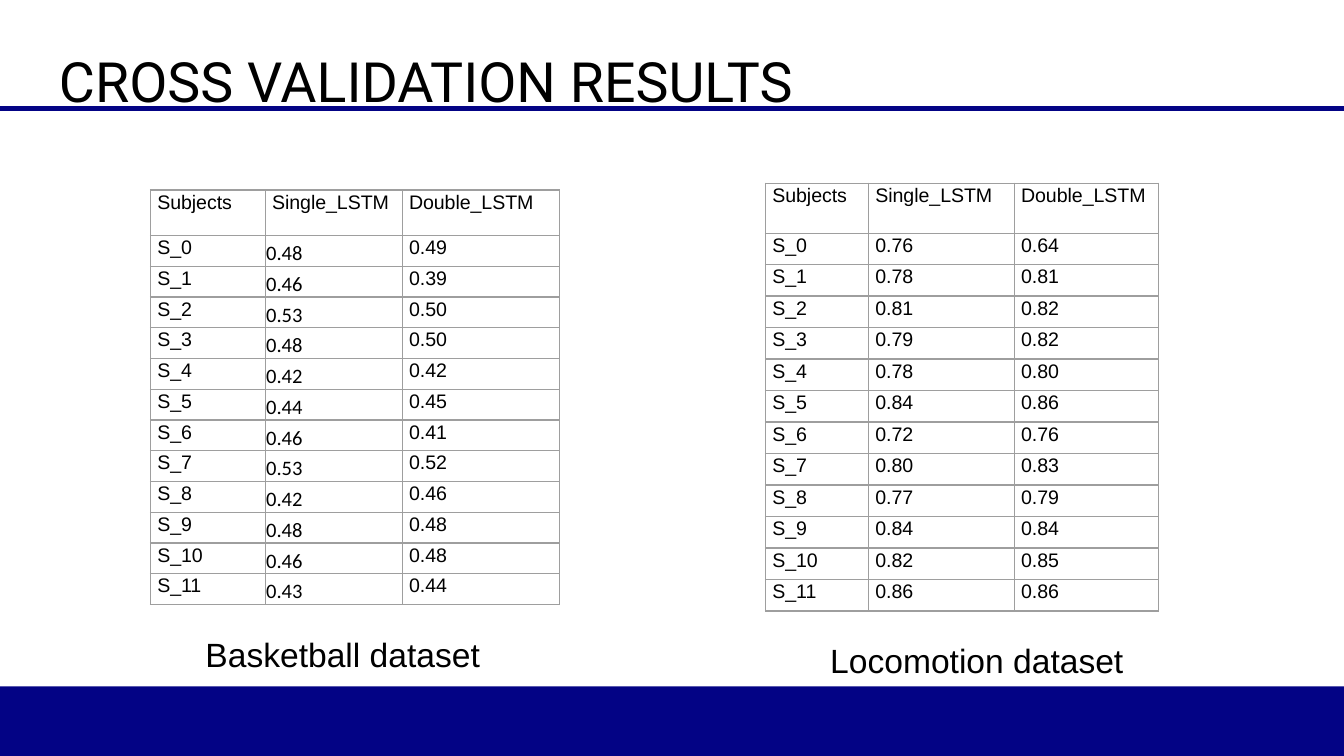
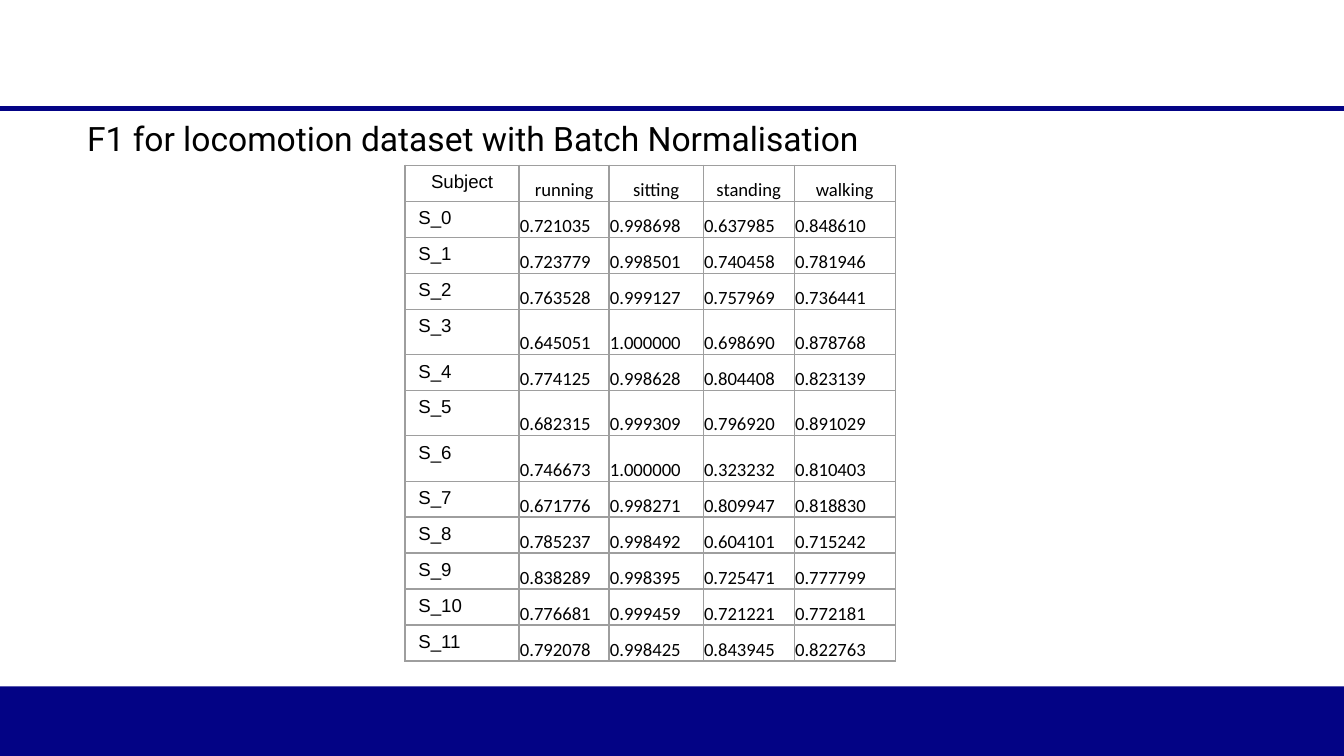
from dataclasses import dataclass

from lxml.etree import SubElement
from pptx import Presentation
from pptx.dml.color import RGBColor
from pptx.enum.shapes import MSO_CONNECTOR as CONN, MSO_SHAPE as SHAPE
from pptx.enum.text import MSO_ANCHOR as ANCHOR, PP_ALIGN as ALIGN
from pptx.oxml.ns import qn
from pptx.util import Pt

WIDTH, HEIGHT = 720, 405
NAVY, BLACK, GREY, SHADOW = "030385", "000000", "9E9E9E", "808080"
TITLE_FONT, BODY_FONT, DATA_FONT = "Roboto", "Arial", "Calibri"


@dataclass
class CellStyle:
    font: str
    size: float
    insets: tuple
    anchor: ANCHOR = ANCHOR.TOP
    spaced: bool = False


SPACED = CellStyle(BODY_FONT, 10.5, (3.7, 0, 3.7, 0), spaced=True)
PLAIN = CellStyle(BODY_FONT, 10, (7.2, 3.6, 7.2, 3.6))
TIGHT_INSETS = (0.5, 0.5, 0.5, 0)
DATA_10 = CellStyle(DATA_FONT, 10, TIGHT_INSETS, ANCHOR.BOTTOM)
DATA_11 = CellStyle(DATA_FONT, 11, TIGHT_INSETS, ANCHOR.BOTTOM)

LSTM_HEADER = ["Subjects", "Single_LSTM", "Double_LSTM"]
BASKETBALL = [
    ("0.48", "0.49"), ("0.46", "0.39"), ("0.53", "0.50"), ("0.48", "0.50"),
    ("0.42", "0.42"), ("0.44", "0.45"), ("0.46", "0.41"), ("0.53", "0.52"),
    ("0.42", "0.46"), ("0.48", "0.48"), ("0.46", "0.48"), ("0.43", "0.44"),
]
LOCOMOTION = [
    ("0.76", "0.64"), ("0.78", "0.81"), ("0.81", "0.82"), ("0.79", "0.82"),
    ("0.78", "0.80"), ("0.84", "0.86"), ("0.72", "0.76"), ("0.80", "0.83"),
    ("0.77", "0.79"), ("0.84", "0.84"), ("0.82", "0.85"), ("0.86", "0.86"),
]
F1_HEADER = ["Subject", "running", "sitting", "standing", "walking"]
F1_SCORES = [
    ("0.721035", "0.998698", "0.637985", "0.848610"),
    ("0.723779", "0.998501", "0.740458", "0.781946"),
    ("0.763528", "0.999127", "0.757969", "0.736441"),
    ("0.645051", "1.000000", "0.698690", "0.878768"),
    ("0.774125", "0.998628", "0.804408", "0.823139"),
    ("0.682315", "0.999309", "0.796920", "0.891029"),
    ("0.746673", "1.000000", "0.323232", "0.810403"),
    ("0.671776", "0.998271", "0.809947", "0.818830"),
    ("0.785237", "0.998492", "0.604101", "0.715242"),
    ("0.838289", "0.998395", "0.725471", "0.777799"),
    ("0.776681", "0.999459", "0.721221", "0.772181"),
    ("0.792078", "0.998425", "0.843945", "0.822763"),
]
TALL_SUBJECTS = (3, 5, 6)


def rgb(value):
    return RGBColor.from_string(value)


def format_run(r, font, size):
    r.font.name, r.font.size = font, Pt(size)
    r.font.color.rgb = rgb(BLACK)


def set_margins(target, insets):
    """Set the left, top, right and bottom margins of a cell or text frame."""
    (target.margin_left, target.margin_top,
     target.margin_right, target.margin_bottom) = map(Pt, insets)


def add_text(s, box, text, font, size, insets, align=ALIGN.LEFT):
    tf = s.shapes.add_textbox(*map(Pt, box)).text_frame
    tf.word_wrap = True
    set_margins(tf, insets)
    tf.text = text
    p = tf.paragraphs[0]
    p.alignment = align
    format_run(p.runs[0], font, size)


def add_title(s, box, text, size, align=ALIGN.LEFT):
    add_text(s, box, text, TITLE_FONT, size, (7.2,) * 4, align)


def add_caption(s, left, top, text):
    add_text(s, (left, top, 197.3, 28.8), text, BODY_FONT, 18,
             (7.2, 3.6, 7.2, 3.6))


def add_footer_band(s, top=367.8):
    band = s.shapes.add_shape(SHAPE.RECTANGLE, 0, Pt(top),
                              Pt(WIDTH), Pt(HEIGHT - top))
    band.shadow.inherit = False
    band.fill.solid()
    band.fill.fore_color.rgb = rgb(NAVY)
    band.line.fill.background()
    effects = band._element.spPr.find(qn("a:effectLst"))
    shadow = SubElement(effects, qn("a:outerShdw"), dist=str(Pt(1.8)),
                        dir="5400000", rotWithShape="0")
    color = SubElement(shadow, qn("a:srgbClr"), val=SHADOW)
    SubElement(color, qn("a:alpha"), val="35000")


def add_header_rule(s, y=58.2):
    rule = s.shapes.add_connector(CONN.STRAIGHT, 0, Pt(y), Pt(WIDTH), Pt(y))
    rule.line.color.rgb = rgb(NAVY)
    rule.line.width = Pt(3)
    SubElement(rule._element.spPr, qn("a:effectLst"))


def new_slide(prs):
    s = prs.slides.add_slide(prs.slide_layouts[6])
    add_footer_band(s)
    add_header_rule(s)
    return s


def add_borders(cell):
    tcPr = cell._tc.get_or_add_tcPr()
    for i, side in enumerate(("lnL", "lnR", "lnT", "lnB")):
        ln = tcPr.makeelement(qn(f"a:{side}"), {"w": str(Pt(0.75))})
        tcPr.insert(i, ln)
        fill = SubElement(ln, qn("a:solidFill"))
        SubElement(fill, qn("a:srgbClr"), val=GREY)


def fill_cell(cell, text, style, align):
    cell.fill.background()
    add_borders(cell)
    set_margins(cell, style.insets)
    cell.vertical_anchor = style.anchor
    cell.text_frame.text = text
    p = cell.text_frame.paragraphs[0]
    p.alignment = align
    if style.spaced:
        p.line_spacing, p.space_after = 1.07, Pt(8)
    format_run(p.runs[0], style.font, style.size)


def add_results(s, left, top, widths, heights, header, scores,
                header_styles, score_styles, header_align=ALIGN.LEFT):
    """Draw a table with one row of scores for each numbered subject."""
    rows = [header] + [(f"S_{i}", *row) for i, row in enumerate(scores)]
    table = s.shapes.add_table(len(rows), len(widths), Pt(left), Pt(top),
                               Pt(sum(widths)), Pt(sum(heights))).table
    table.first_row = table.horz_banding = False
    for column, width in zip(table.columns, widths):
        column.width = Pt(width)
    for i, (row, height) in enumerate(zip(rows, heights)):
        table.rows[i].height = Pt(height)
        styles = score_styles if i else header_styles
        align = ALIGN.LEFT if i else header_align
        for j, (text, style) in enumerate(zip(row, styles)):
            fill_cell(table.cell(i, j), text, style, align)


def cross_validation_slide(prs):
    s = new_slide(prs)
    add_title(s, (24.5, 18, 671, 45.4), "CROSS VALIDATION RESULTS", 29.7)
    add_results(s, 80.6, 101.8, (61.5, 73.4, 84.1), [24.4] + [16.48] * 12,
                LSTM_HEADER, BASKETBALL,
                [SPACED] * 3, [SPACED, DATA_11, SPACED])
    add_results(s, 410.1, 98.1, (55.2, 78.1, 77.4), [26.8] + [16.87] * 12,
                LSTM_HEADER, LOCOMOTION, [SPACED] * 3, [SPACED] * 3)
    add_caption(s, 103, 336.2, "Basketball dataset")
    add_caption(s, 437.7, 339.1, "Locomotion dataset")


def f1_slide(prs):
    s = new_slide(prs)
    add_title(s, (0, 56.2, 507, 45.4),
              "F1 for locomotion dataset with Batch Normalisation",
              18, ALIGN.CENTER)
    heights = [19.3] + [24.3 if i in TALL_SUBJECTS else 19.3
                        for i in range(len(F1_SCORES))]
    styles = [PLAIN] + [DATA_10] * 4
    add_results(s, 217, 88.5, (61.1, 48.2, 50.4, 48.8, 54.1), heights,
                F1_HEADER, F1_SCORES, styles, styles, ALIGN.CENTER)


def main():
    prs = Presentation()
    prs.slide_width, prs.slide_height = Pt(WIDTH), Pt(HEIGHT)
    cross_validation_slide(prs)
    f1_slide(prs)
    prs.save("out.pptx")


if __name__ == "__main__":
    main()
